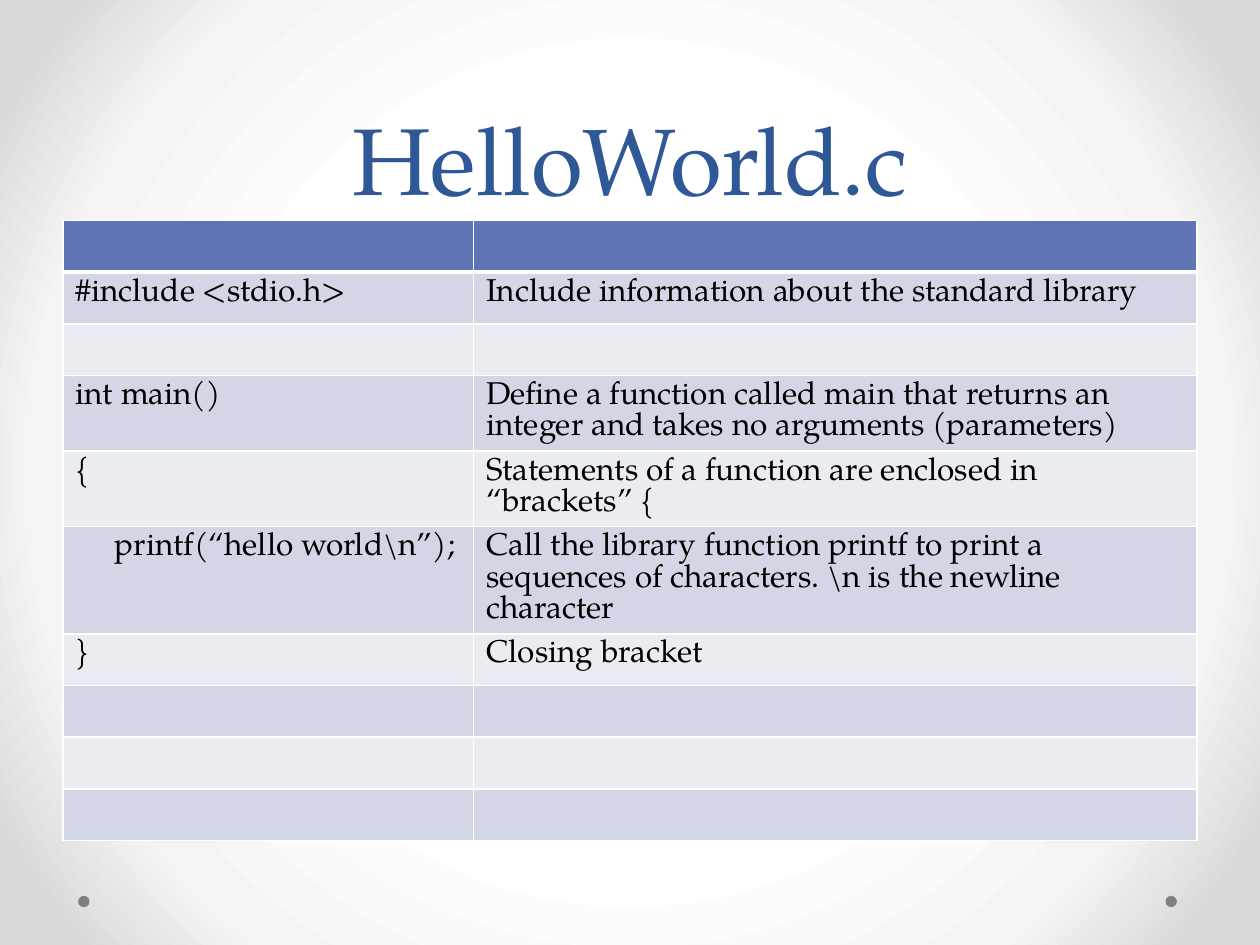
from lxml.etree import SubElement
from pptx import Presentation
from pptx.dml.color import RGBColor
from pptx.enum.shapes import MSO_SHAPE
from pptx.enum.text import MSO_ANCHOR, PP_ALIGN
from pptx.oxml.ns import qn
from pptx.util import Inches, Pt

ROWS = [
    ("", ""),
    ("#include <stdio.h>", "Include information about the standard library"),
    ("", ""),
    ("int main()", "Define a function called main that returns an integer "
                   "and takes no arguments (parameters)"),
    ("{", "Statements of a function are enclosed in “brackets” {"),
    (r"     printf(“hello world\n”);",
     r"Call the library function printf to print a sequences of characters. "
     r"\n is the newline character"),
    ("}", "Closing bracket"),
    ("", ""),
    ("", ""),
    ("", ""),
]


def color(code):
    return RGBColor.from_string(code)


def write(frame, text, size=18, tint="000000", font="TeX Gyre Pagella",
          align=PP_ALIGN.LEFT, pitch=18):
    frame.text = text
    para = frame.paragraphs[0]
    para.alignment = align
    para.line_spacing = Pt(pitch)
    for style in [para.font] + [run.font for run in para.runs]:
        style.size = Pt(size)
        style.name = font
        style.bold = False
        style.color.rgb = color(tint)


def paint(node, code):
    SubElement(node, qn("a:srgbClr"), val=code)


class Deck:
    blue, head, odd, even = "2F5897", "6076B4", "D2D6E5", "EAECF2"
    rule, dot = "FFFFFF", "808080"

    def __init__(self):
        self.file = Presentation()
        self.file.slide_width = Inches(10)
        self.file.slide_height = Inches(7.5)
        self.slide = self.file.slides.add_slide(self.file.slide_layouts[5])

    def glow(self, stops):
        fill = self.slide.background.fill
        fill.gradient()
        grad = self.slide.element.find(".//" + qn("a:gradFill"))
        for child in list(grad):
            grad.remove(child)
        group = SubElement(grad, qn("a:gsLst"))
        for place, code in stops:
            paint(SubElement(group, qn("a:gs"), pos=str(place * 1000)), code)
        route = SubElement(grad, qn("a:path"), path="circle")
        SubElement(route, qn("a:fillToRect"),
                   {side: "50000" for side in "ltrb"})

    def bullet(self, left, top, size=0.09):
        shape = self.slide.shapes.add_shape(
            MSO_SHAPE.OVAL, Inches(left), Inches(top),
            Inches(size), Inches(size))
        shape.shadow.inherit = False
        shape.fill.solid()
        shape.fill.fore_color.rgb = color(self.dot)
        shape.line.fill.background()

    def title(self, text, left, top, width, height):
        shape = self.slide.shapes.title
        shape.left, shape.top = Inches(left), Inches(top)
        shape.width, shape.height = Inches(width), Inches(height)
        shape.text_frame.vertical_anchor = MSO_ANCHOR.BOTTOM
        write(shape.text_frame, text, size=54, tint=self.blue,
              align=PP_ALIGN.CENTER, pitch=58)

    def border(self, cell, row):
        props = cell._tc.get_or_add_tcPr()
        for side in "LRTB":
            thick = (row == 0 and side == "B") or (row == 1 and side == "T")
            line = SubElement(props, qn("a:ln" + side),
                              w=str(Pt(3 if thick else 1)))
            paint(SubElement(line, qn("a:solidFill")), self.rule)

    def table(self, rows, left, top, widths, height):
        grid = self.slide.shapes.add_table(
            len(rows), len(widths), Inches(left), Inches(top),
            Inches(sum(widths)), Inches(height * len(rows))).table
        grid.first_row = grid.horz_banding = False
        for col, width in zip(grid.columns, widths):
            col.width = Inches(width)
        for i, texts in enumerate(rows):
            grid.rows[i].height = Inches(height)
            shade = self.head if i == 0 else (self.even, self.odd)[i % 2]
            for j, text in enumerate(texts):
                cell = grid.cell(i, j)
                write(cell.text_frame, text)
                self.border(cell, i)
                cell.fill.solid()
                cell.fill.fore_color.rgb = color(shade)


def main():
    deck = Deck()
    deck.glow([(50, "FFFFFF"), (76, "F4F4F4"), (92, "DADADA")])
    for left in (9.25, 0.62):
        deck.bullet(left, 7.11)
    deck.title("HelloWorld.c", 0.5, 0, 9, 1.75)
    deck.table(ROWS, 0.5, 1.75, (3.26, 5.74), 0.41)
    deck.file.save("out.pptx")


if __name__ == "__main__":
    main()
